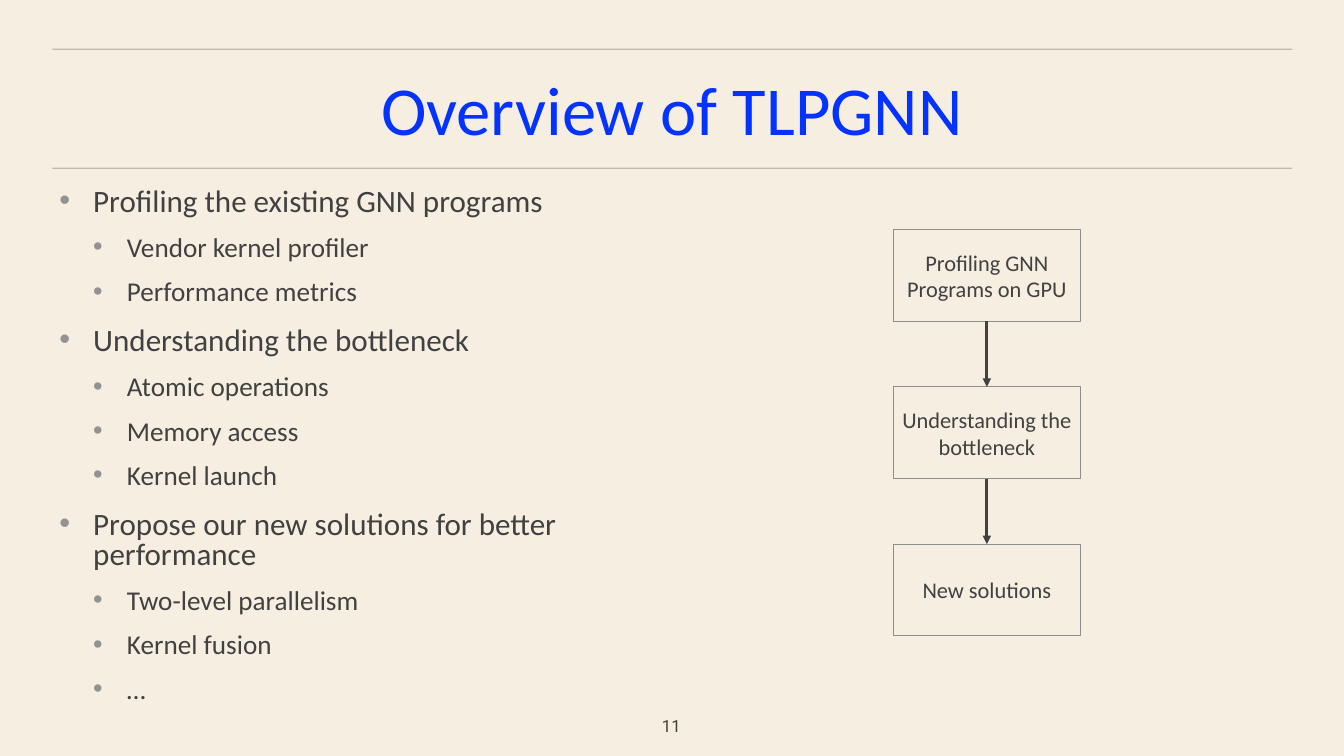
from dataclasses import dataclass

from lxml import etree
from pptx import Presentation
from pptx import util as u
from pptx.dml.color import RGBColor
from pptx.enum import shapes, text
from pptx.oxml.ns import qn


@dataclass(frozen=True)
class Theme:
    paper: str = "F5EEE1"
    title: str = "0432FF"
    ink: str = "414141"
    rule: str = "444444"
    border: str = "8D8D8D"
    bullet: str = "929292"
    font: str = "Calibri"
    number_font: str = "Roboto"
    title_size: float = 49
    box_size: float = 16
    number_size: float = 12
    level_sizes: tuple = (22.2, 19.4)
    level_gaps: tuple = (15, 13)
    inset: float = 0.15
    indent: float = 0.85


OUTLINE = [
    ("Profiling the existing GNN programs",
     ["Vendor kernel profiler", "Performance metrics"]),
    ("Understanding the bottleneck",
     ["Atomic operations", "Memory access", "Kernel launch"]),
    ("Propose our new solutions for better performance",
     ["Two-level parallelism", "Kernel fusion", "…"]),
]
STEPS = ["Profiling GNN Programs on GPU", "Understanding the bottleneck", "New solutions"]


def rgb(value):
    return RGBColor.from_string(value)


class SlideBuilder:
    def __init__(self, prs, theme):
        self.t = theme
        self.s = prs.slides.add_slide(prs.slide_layouts[6])
        fill = self.s.background.fill
        fill.solid()
        fill.fore_color.rgb = rgb(theme.paper)

    def frame(self, sp):
        tf = sp.text_frame
        tf.word_wrap = True
        tf.vertical_anchor = text.MSO_ANCHOR.MIDDLE
        tf.margin_left = tf.margin_right = u.Cm(self.t.inset)
        tf.margin_top = tf.margin_bottom = u.Cm(self.t.inset)
        return tf

    def run(self, p, words, size, color=None, font=None):
        r = p.add_run()
        r.text = words
        r.font.size = u.Pt(size)
        r.font.name = font or self.t.font
        r.font.color.rgb = rgb(color or self.t.ink)

    def label(self, at, words, size, color=None, font=None):
        tf = self.frame(self.s.shapes.add_textbox(*map(u.Cm, at)))
        p = tf.paragraphs[0]
        p.alignment = text.PP_ALIGN.CENTER
        self.run(p, words, size, color, font)

    def outline(self, at, topics):
        tf = self.frame(self.s.shapes.add_textbox(*map(u.Cm, at)))
        items = [(level, words) for topic, details in topics
                 for level, words in [(0, topic)] + [(1, d) for d in details]]
        for i, (level, words) in enumerate(items):
            p = tf.add_paragraph() if i else tf.paragraphs[0]
            p.level = level
            p.line_spacing = 0.8
            p.space_before = u.Pt(self.t.level_gaps[level])
            self.bullet(p, level)
            self.run(p, words, self.t.level_sizes[level])

    def bullet(self, p, level):
        ppr = p._p.get_or_add_pPr()
        ppr.set("marL", str(u.Cm(self.t.indent * (level + 1))))
        ppr.set("indent", str(-u.Cm(self.t.indent)))
        color = etree.SubElement(ppr, qn("a:buClr"))
        etree.SubElement(color, qn("a:srgbClr"), val=self.t.bullet)
        etree.SubElement(ppr, qn("a:buFont"), typeface="Arial")
        etree.SubElement(ppr, qn("a:buChar"), char="•")

    def box(self, at, words):
        sp = self.s.shapes.add_shape(shapes.MSO_SHAPE.RECTANGLE, *map(u.Cm, at))
        sp.shadow.inherit = False
        sp.fill.background()
        sp.line.color.rgb = rgb(self.t.border)
        sp.line.width = u.Pt(0.75)
        p = self.frame(sp).paragraphs[0]
        p.alignment = text.PP_ALIGN.CENTER
        self.run(p, words, self.t.box_size)
        return sp

    def line(self, ends, color, width):
        cx = self.s.shapes.add_connector(shapes.MSO_CONNECTOR.STRAIGHT, *map(u.Cm, ends))
        cx.line.color.rgb = rgb(color)
        cx.line.width = u.Pt(width)
        etree.SubElement(cx._element.spPr, qn("a:effectLst"))
        return cx

    def rule(self, left, right, y):
        """Draw a faint horizontal line, 30 % opaque."""
        cx = self.line((left, y, right, y), self.t.rule, 1)
        color = cx.line._get_or_add_ln().find(".//" + qn("a:srgbClr"))
        etree.SubElement(color, qn("a:alpha"), val="30000")

    def arrow(self, upper, lower):
        """Join the bottom of one box to the top of the next."""
        cx = self.line((0, 0, 0, 0), self.t.ink, 2)
        cx.begin_connect(upper, 2)
        cx.end_connect(lower, 0)
        etree.SubElement(cx.line._get_or_add_ln(), qn("a:tailEnd"), type="triangle")


def main():
    prs = Presentation()
    prs.slide_width, prs.slide_height = u.Cm(33.87), u.Cm(19.05)
    t = Theme()
    b = SlideBuilder(prs, t)

    for y in (1.24, 4.24):
        b.rule(1.32, 32.56, y)
    b.label((1.32, 1.57, 31.22, 2.31), "Overview of TLPGNN", t.title_size, t.title)
    b.outline((1.35, 4.57, 15.6, 13.36), OUTLINE)
    b.label((16.31, 17.93, 1.22, 0.71), "11", t.number_size, font=t.number_font)

    boxes = [b.box((22.52, 5.79 + 3.96 * i, 4.7, 2.31), step)
             for i, step in enumerate(STEPS)]
    for upper, lower in zip(boxes, boxes[1:]):
        b.arrow(upper, lower)

    prs.save("out.pptx")


if __name__ == "__main__":
    main()
